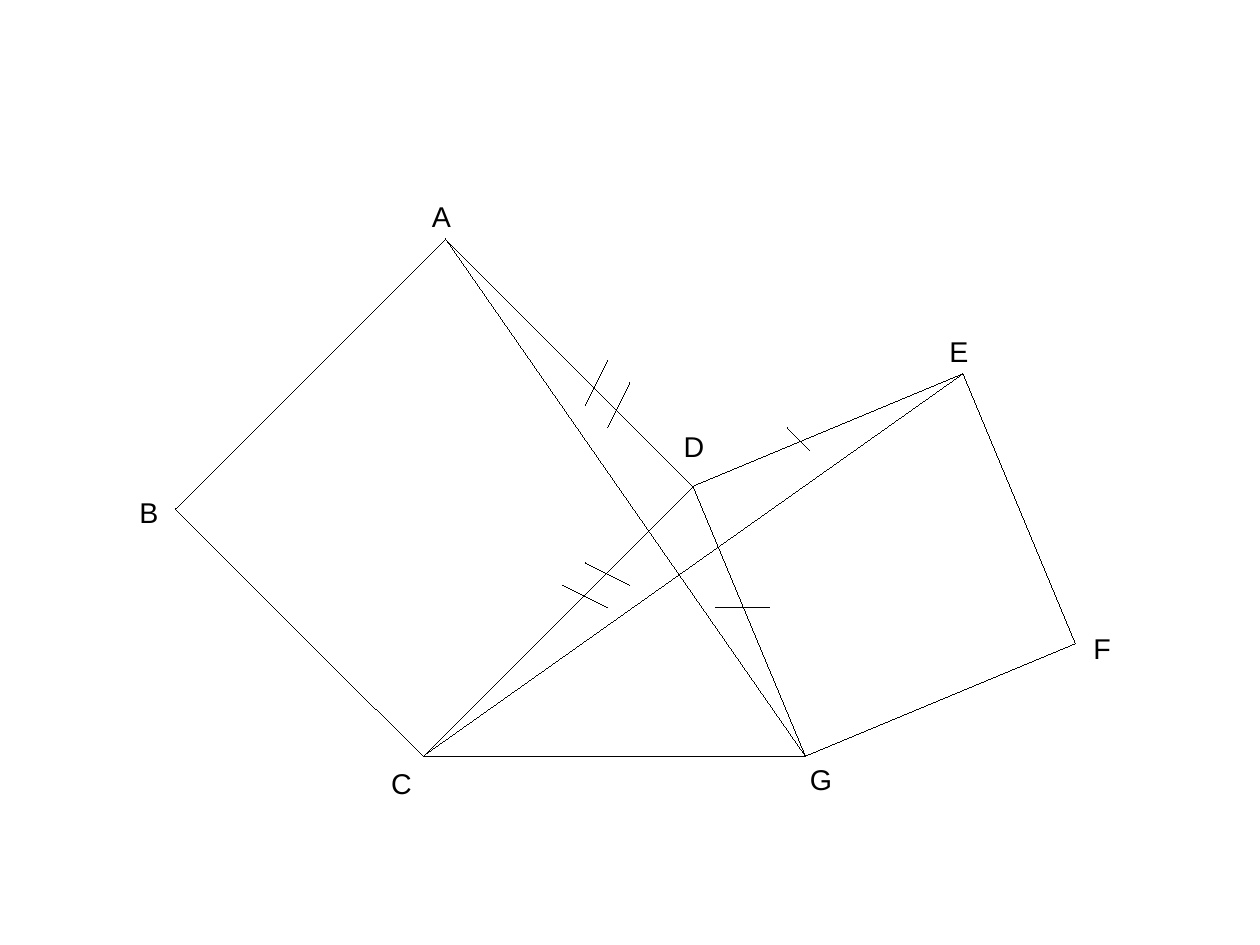
from lxml import etree
from pptx import Presentation
from pptx.dml.color import RGBColor
from pptx.enum.shapes import MSO_CONNECTOR as Connector
from pptx.enum.text import MSO_AUTO_SIZE as AutoSize
from pptx.oxml.ns import qn
from pptx.util import Cm, Pt

COLORS = {"ink": "000000"}
COLUMNS, ROWS = 28, 21

POINTS = {
    "A": (9.9, 5.3),
    "C": (9.4, 16.8),
    "D": (15.4, 10.8),
    "E": (21.4, 8.3),
    "G": (17.9, 16.8),
}
FOURTH_CORNERS = {"B": "ACD", "F": "EGD"}
SEGMENTS = ["DC", "DG", "CG", "DA", "CB", "BA", "DE", "GF", "EF", "AG", "CE"]
LABELS = {
    "A": (9.35, 4.3, 0.92),
    "B": (2.85, 10.88, 0.92),
    "C": (8.44, 16.89, 0.96),
    "D": (14.94, 9.4, 0.96),
    "E": (20.85, 7.29, 0.92),
    "F": (24.05, 13.9, 0.88),
    "G": (17.75, 16.8, 1),
}
LABEL_HEIGHT = 0.96
SINGLE_TICKS = [((17.5, 9.5), (18, 10)), ((17.1, 13.5), (15.9, 13.5))]
DOUBLE_TICKS = [
    ((13.5, 8), (13, 9), (0.5, 0.5)),
    ((12.5, 13), (13.5, 13.5), (0.5, -0.5)),
]

presentation = Presentation()
presentation.slide_width, presentation.slide_height = Cm(COLUMNS), Cm(ROWS)
slide = presentation.slides.add_slide(presentation.slide_layouts[6])


def across(columns):
    return round(presentation.slide_width * columns / COLUMNS)


def down(rows):
    return round(presentation.slide_height * rows / ROWS)


def shift(point, step):
    return point[0] + step[0], point[1] + step[1]


def add_line(start, end):
    line = slide.shapes.add_connector(
        Connector.STRAIGHT,
        across(start[0]), down(start[1]), across(end[0]), down(end[1]),
    )
    line.line.color.rgb = RGBColor.from_string(COLORS["ink"])
    properties = line._element.spPr
    properties.find(qn("a:ln")).set("w", "0")
    etree.SubElement(properties, qn("a:effectLst"))


def add_text(text, left, top, width, height, size=18, font="Arial", color="ink"):
    box = slide.shapes.add_textbox(across(left), down(top), across(width), down(height))
    frame = box.text_frame
    frame.word_wrap = False
    frame.auto_size = AutoSize.SHAPE_TO_FIT_TEXT
    run = frame.paragraphs[0].add_run()
    run.text = text
    run.font.size, run.font.name = Pt(size), font
    run.font.color.rgb = RGBColor.from_string(COLORS[color])


points = dict(POINTS)
for corner, (first, second, opposite) in FOURTH_CORNERS.items():
    points[corner] = tuple(
        a + b - c for a, b, c in zip(points[first], points[second], points[opposite])
    )

for start, end in SEGMENTS:
    add_line(points[start], points[end])

for name, (left, top, width) in LABELS.items():
    add_text(name, left, top, width, LABEL_HEIGHT)

for start, end in SINGLE_TICKS:
    add_line(start, end)

for start, end, step in DOUBLE_TICKS:
    add_line(start, end)
    add_line(shift(start, step), shift(end, step))

presentation.save("out.pptx")
